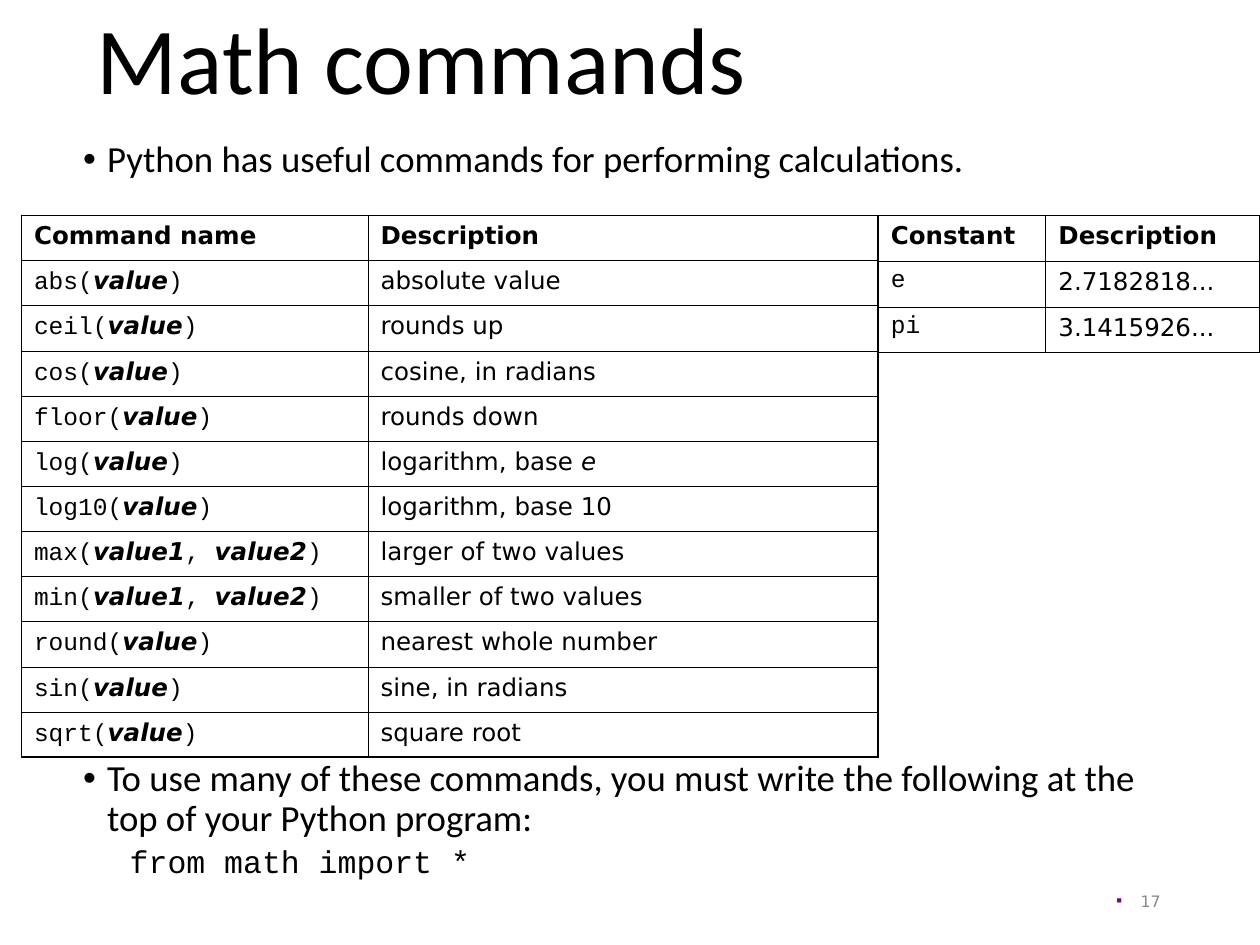
from lxml import etree
from pptx import Presentation
from pptx.dml.color import RGBColor
from pptx.enum import text
from pptx.oxml import ns
from pptx.util import Inches, Pt

BLACK = RGBColor(0x00, 0x00, 0x00)
GRAY = RGBColor(0x89, 0x89, 0x89)
PURPLE = RGBColor(0x80, 0x00, 0x80)
SANS, MONO, BODY = "DejaVu Sans", "Courier New", "Calibri"
THICK, THIN = Pt(1.08), Pt(0.45)

# Signature parts alternate between code and argument names
COMMANDS = [
    (["abs(", "value", ")"], "absolute value"),
    (["ceil(", "value", ")"], "rounds up"),
    (["cos(", "value", ")"], "cosine, in radians"),
    (["floor(", "value", ")"], "rounds down"),
    (["log(", "value", ")"], "logarithm, base *e"),
    (["log10(", "value", ")"], "logarithm, base 10"),
    (["max(", "value1", ", ", "value2", ")"], "larger of two values"),
    (["min(", "value1", ", ", "value2", ")"], "smaller of two values"),
    (["round(", "value", ")"], "nearest whole number"),
    (["sin(", "value", ")"], "sine, in radians"),
    (["sqrt(", "value", ")"], "square root"),
]
CONSTANTS = [(["e"], "2.7182818..."), (["pi"], "3.1415926...")]


def add(parent, tag, **attrs):
    node = etree.SubElement(parent, ns.qn(tag))
    for key, val in attrs.items():
        node.set(key, str(val))
    return node


def style(font, name, size, color=BLACK, bold=False, italic=False):
    font.name, font.size = name, Pt(size)
    font.bold, font.italic = bold, italic
    font.color.rgb = color


def add_box(slide, x, y, w, h, pad, anchor=text.MSO_ANCHOR.TOP):
    box = slide.shapes.add_textbox(Inches(x), Inches(y), Inches(w), Inches(h))
    frame = box.text_frame
    frame.word_wrap = True
    frame.vertical_anchor = anchor
    frame.margin_left = frame.margin_right = Inches(pad)
    frame.margin_top = frame.margin_bottom = Inches(pad / 2)
    return frame


def indent(par, left, first):
    props = par._p.get_or_add_pPr()
    props.set("marL", str(Inches(left)))
    props.set("indent", str(Inches(first)))
    return props


def bullet(par, char, color, size=100):
    props = indent(par, 0.19, -0.19)
    add(add(props, "a:buClr"), "a:srgbClr", val=color)
    add(props, "a:buSzPct", val=size * 1000)
    add(props, "a:buFont", typeface="Arial")
    add(props, "a:buChar", char=char)


def add_run(par, words, name, bold=False, italic=False):
    run = par.add_run()
    run.text = words
    style(run.font, name, 14, bold=bold, italic=italic)


def set_edges(cell, row, col, last):
    props = cell._tc.get_or_add_tcPr()
    outer = [("a:lnL", col == 0), ("a:lnR", col == 1),
             ("a:lnT", row == 0), ("a:lnB", row == last)]
    for tag, edge in outer:
        line = add(props, tag, w=THICK if edge else THIN)
        add(add(line, "a:solidFill"), "a:srgbClr", val=BLACK)
    add(props, "a:noFill")


def add_grid(slide, x, widths, height, head, rows):
    last = len(rows)
    grid = slide.shapes.add_table(last + 1, 2, Inches(x), Inches(1.71),
                                  Inches(sum(widths)), Inches(height)).table
    grid.first_row = grid.horz_banding = False
    for col, width in zip(grid.columns, widths):
        col.width = Inches(width)
    # Header row
    for col, words in enumerate(head):
        add_run(grid.cell(0, col).text_frame.paragraphs[0], words, SANS, True)
    # Signatures and descriptions; a star marks an italic ending
    for row, (parts, note) in enumerate(rows, 1):
        left, right = (grid.cell(row, col).text_frame.paragraphs[0]
                       for col in range(2))
        for i, part in enumerate(parts):
            arg = i % 2 == 1
            add_run(left, part, SANS if arg else MONO, arg, arg)
        for i, part in enumerate(note.split("*")):
            add_run(right, part, SANS, italic=i == 1)
    for row in range(last + 1):
        for col in range(2):
            set_edges(grid.cell(row, col), row, col, last)


def add_title(slide):
    frame = add_box(slide, 0.69, 0.08, 8.63, 0.85, 0.08,
                    text.MSO_ANCHOR.MIDDLE)
    frame.text = "Math commands"
    par = frame.paragraphs[0]
    par.line_spacing = 0.9
    style(par.runs[0].font, BODY, 54)


def add_body(slide):
    frame = add_box(slide, 0.58, 1.08, 8.62, 6.17, 0.08)
    frame.text = "\n".join([
        "Python has useful commands for performing calculations.",
        "To use many of these commands, you must write the following "
        "at the top of your Python program:",
        "from math import *"])
    intro, usage, code = frame.paragraphs
    for par in frame.paragraphs:
        par.line_spacing = 0.9
    usage.space_before = Pt(331)  # room for the tables
    code.space_before = Pt(3.7)
    for par in (intro, usage):
        bullet(par, "•", BLACK)
        style(par.runs[0].font, BODY, 21)
    code.level = 1
    indent(code, 0.56, -0.19)
    style(code.runs[0].font, MONO, 18)


def add_number(slide):
    frame = add_box(slide, 7.06, 6.95, 2.25, 0.4, 0.1, text.MSO_ANCHOR.MIDDLE)
    frame.text = "17"
    par = frame.paragraphs[0]
    par.alignment = text.PP_ALIGN.RIGHT
    bullet(par, "■", PURPLE, 55)
    style(par.runs[0].font, SANS, 9, GRAY)


def main():
    deck = Presentation()
    deck.slide_width, deck.slide_height = Inches(10), Inches(7.5)
    slide = deck.slides.add_slide(deck.slide_layouts[6])
    add_title(slide)
    add_body(slide)
    add_number(slide)
    add_grid(slide, 0.17, (2.75, 4.05), 4.3,
             ("Command name", "Description"), COMMANDS)
    add_grid(slide, 6.97, (1.33, 1.7), 1.09,
             ("Constant", "Description"), CONSTANTS)
    deck.save("out.pptx")


if __name__ == "__main__":
    main()
